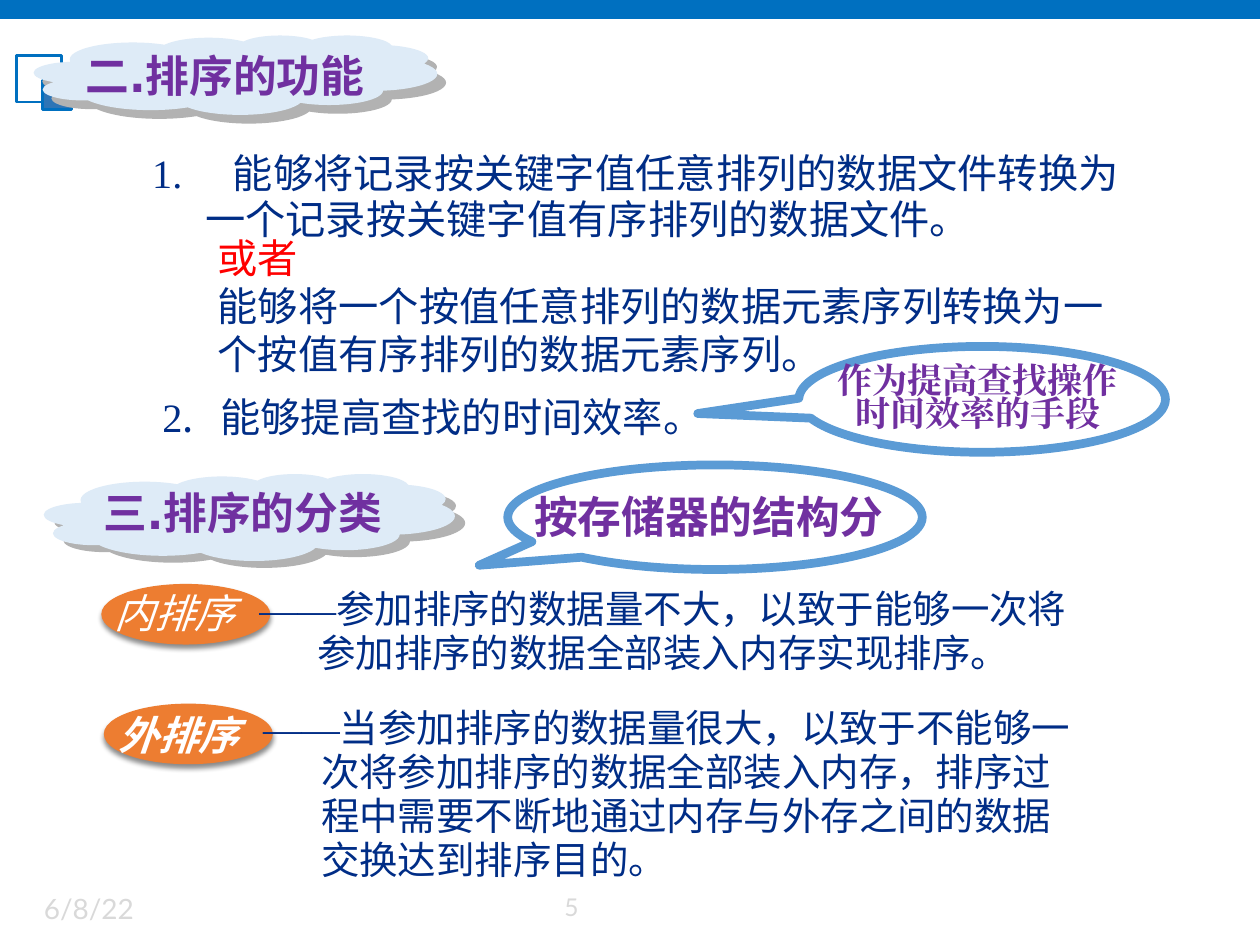
from lxml import etree
from pptx import Presentation
from pptx import util as u
from pptx.dml.color import RGBColor
from pptx.enum import shapes, text
from pptx.oxml.ns import qn

COLORS = {
    "blue": "0070C0", "square": "2E75B6", "cloud": "DEEBF7", "cloud_shadow": "B2B2B2",
    "purple": "7030A0", "navy": "002D86", "red": "FF0000", "orange": "ED7D31",
    "callout": "5B9BD5", "white": "FFFFFF", "gray": "D9D9D9", "black": "000000",
}
SHAPE = shapes.MSO_SHAPE
CJK, SERIF, BOLD, FOOT = "Noto Sans CJK SC", "Times New Roman", "DejaVu Sans", "Lato"


class Deck:
    """Holds the style and the current slide, and draws each kind of element."""

    line_height = 1.2

    def __init__(self, prs):
        self.slide = prs.slides.add_slide(prs.slide_layouts[6])

    def rgb(self, name):
        return RGBColor.from_string(COLORS[name])

    def shape(self, kind, box, fill=None, line=None, width=1.5, adj=()):
        sp = self.slide.shapes.add_shape(kind, *map(u.Inches, box))
        sp.shadow.inherit = False
        if fill:
            sp.fill.solid()
            sp.fill.fore_color.rgb = self.rgb(fill)
        else:
            sp.fill.background()
        if line:
            sp.line.color.rgb = self.rgb(line)
            sp.line.width = u.Pt(width)
        else:
            sp.line.fill.background()
        for i, value in enumerate(adj):
            sp.adjustments[i] = value
        return sp

    def shadow(self, sp, color, dist, angle, blur=0, alpha=100):
        effects = sp._element.spPr.find(qn("a:effectLst"))
        outer = etree.SubElement(
            effects, qn("a:outerShdw"), blurRad=str(u.Pt(blur)), dist=str(u.Pt(dist)),
            dir=str(angle * 60000), algn="ctr", rotWithShape="0")
        clr = etree.SubElement(outer, qn("a:srgbClr"), val=COLORS[color])
        etree.SubElement(clr, qn("a:alpha"), val=str(alpha * 1000))

    def text(self, box, lines, size, color="navy", font=CJK, spacing=1.0,
             center=False, bold=False, italic=False):
        sp = self.slide.shapes.add_textbox(*map(u.Inches, box))
        tf = sp.text_frame
        tf.word_wrap = True
        for i, (left, first, runs) in enumerate(lines):
            p = tf.paragraphs[0] if i == 0 else tf.add_paragraph()
            p.line_spacing = u.Pt(round(size * self.line_height * spacing, 1))
            if center:
                p.alignment = text.PP_ALIGN.CENTER
            if left:
                p._p.get_or_add_pPr().set("marL", str(u.Inches(left)))
                p._p.get_or_add_pPr().set("indent", str(u.Inches(first)))
            for words, *style in runs:
                r = p.add_run()
                r.text = words
                self.style(r, style[0] if style else font, size,
                           style[1] if len(style) > 1 else color, bold, italic)

    def style(self, r, font, size, color, bold, italic):
        r.font.name = font
        r.font.size = u.Pt(size)
        r.font.color.rgb = self.rgb(color)
        r.font.bold = bold
        r.font.italic = italic
        ea = etree.SubElement(r._r.get_or_add_rPr(), qn("a:ea"))
        ea.set("typeface", font)

    def heading(self, cloud, box, words, angle):
        sp = self.shape(SHAPE.CLOUD, cloud, "cloud")
        self.shadow(sp, "cloud_shadow", 7.1, angle)
        self.text(box, [(0, 0, [(words,)])], 25, "purple", BOLD, bold=True)

    def callout(self, box, adj):
        self.shape(SHAPE.OVAL_CALLOUT, box, line="callout", width=5, adj=adj)

    def term(self, left, top, label, label_box, bold, body_box, body):
        sp = self.shape(SHAPE.OVAL, (left, top, 1.33, 0.47), "orange", "orange", 0.79)
        self.shadow(sp, "black", 2.4, 90, 3, 45)
        self.text(label_box, [(0, 0, [(label,)])], 23, "white", BOLD,
                  bold=bold, italic=True)
        lines = [(0.29, 0, [("——", SERIF), (body[0],)])]
        lines += [(0.75, 0, [(words,)]) for words in body[1:]]
        self.text(body_box, lines, 22, spacing=0.95)


def main():
    prs = Presentation()
    prs.slide_width, prs.slide_height = u.Inches(10), u.Inches(7.5)
    s = Deck(prs)

    s.shape(SHAPE.RECTANGLE, (0, 0, 10, 0.15), "blue")
    s.shape(SHAPE.RECTANGLE, (0.13, 0.44, 0.36, 0.37), line="blue")
    s.shape(SHAPE.RECTANGLE, (0.34, 0.64, 0.23, 0.23), "square", "blue")
    s.text((0.25, 7.03, 1.84, 0.4), [(0, 0, [("6/8/22",)])], 16, "gray", FOOT)
    s.text((4.38, 7.03, 0.62, 0.38), [(0, 0, [("5",)])], 14, "gray", FOOT)

    s.heading((0.27, 0.28, 3.2, 0.63), (0.58, 0.34, 3.44, 0.52), "二.排序的功能", 45)
    s.text((1.03, 1.15, 8.39, 0.83), [
        (0.72, -0.64, [("1.\t", SERIF), ("能够将记录按关键字值任意排列的数据文件转换为",)]),
        (0.5, 0, [("一个记录按关键字值有序排列的数据文件。",)]),
    ], 23, spacing=0.95)
    s.text((1.56, 1.8, 8.17, 1.25), [
        (0.07, 0, [("或者", CJK, "red")]),
        (0.07, 0, [("能够将一个按值任意排列的数据元素序列转换为一",)]),
        (0.07, 0, [("个按值有序排列的数据元素序列。",)]),
    ], 23)
    s.text((1.19, 3.06, 5.49, 0.48), [
        (0.46, -0.46, [("2", SERIF), (".\t能够提高查找的时间效率。",)]),
    ], 23)
    s.callout((6.34, 2.75, 2.91, 0.84), (-0.776, 0.134))
    s.text((6.34, 2.86, 2.84, 0.65), [
        (0, 0, [("作为提高查找操作",)]), (0, 0, [("时间效率的手段",)]),
    ], 20, "purple", SERIF, 0.8, center=True, bold=True)

    s.heading((0.35, 3.76, 3.26, 0.69), (0.72, 3.81, 3.29, 0.52), "三.排序的分类", 34)
    s.term(0.81, 4.64, "内排序", (0.81, 4.62, 1.7, 0.48), False, (1.67, 4.61, 7.67, 0.8), [
        "参加排序的数据量不大，以致于能够一次将",
        "参加排序的数据全部装入内存实现排序。",
    ])
    s.term(0.83, 5.59, "外排序", (0.84, 5.59, 1.7, 0.48), True, (1.7, 5.56, 8.14, 1.51), [
        "当参加排序的数据量很大，以致于不能够一",
        "次将参加排序的数据全部装入内存，排序过",
        "程中需要不断地通过内存与外存之间的数据",
        "交换达到排序目的。",
    ])
    s.callout((4.03, 3.69, 3.29, 0.83), (-0.569, 0.46))
    s.text((4.14, 3.84, 3.17, 0.52), [(0.5, -0.5, [("按存储器的结构分",)])],
           25, "purple", BOLD, bold=True)

    prs.save("out.pptx")


if __name__ == "__main__":
    main()
